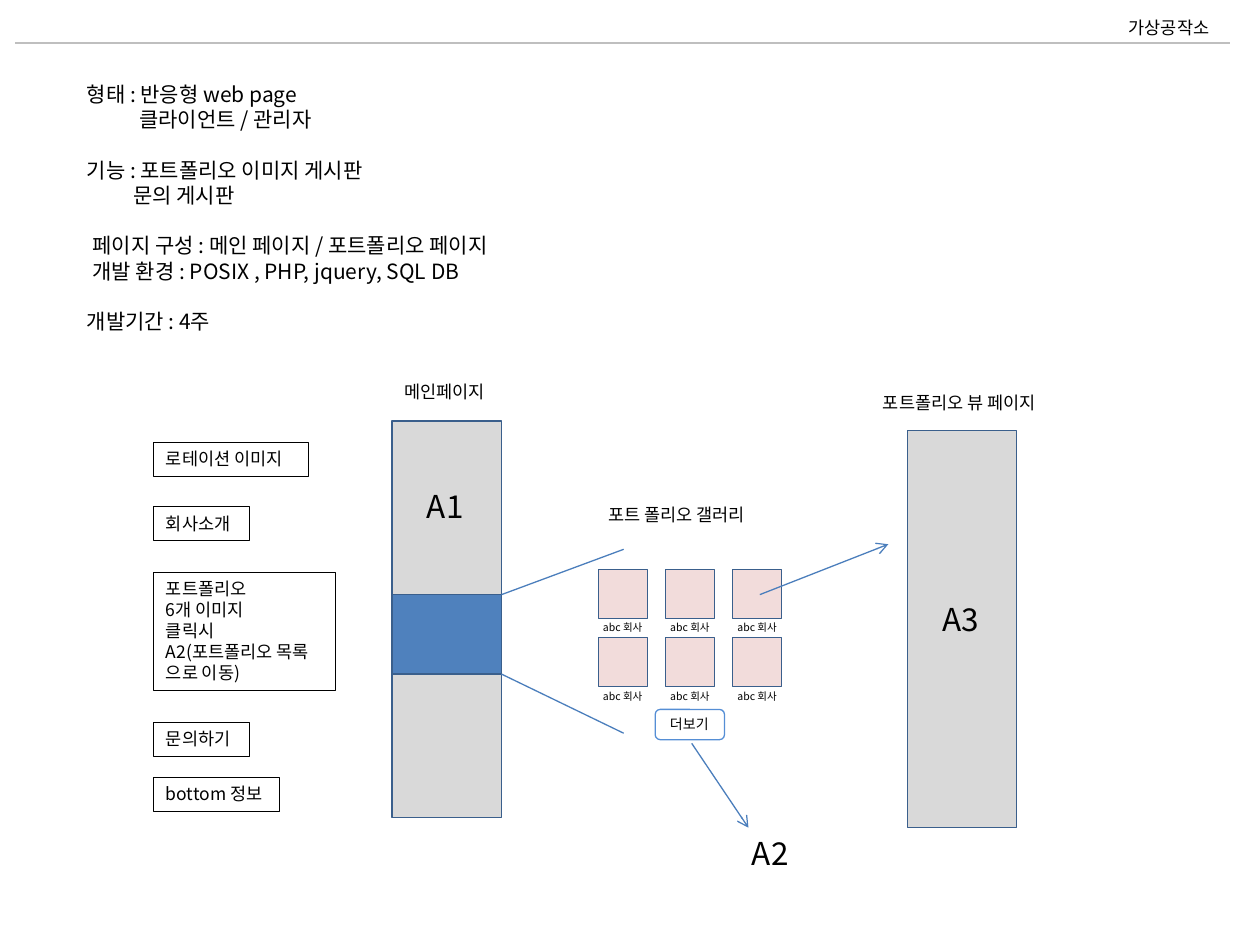
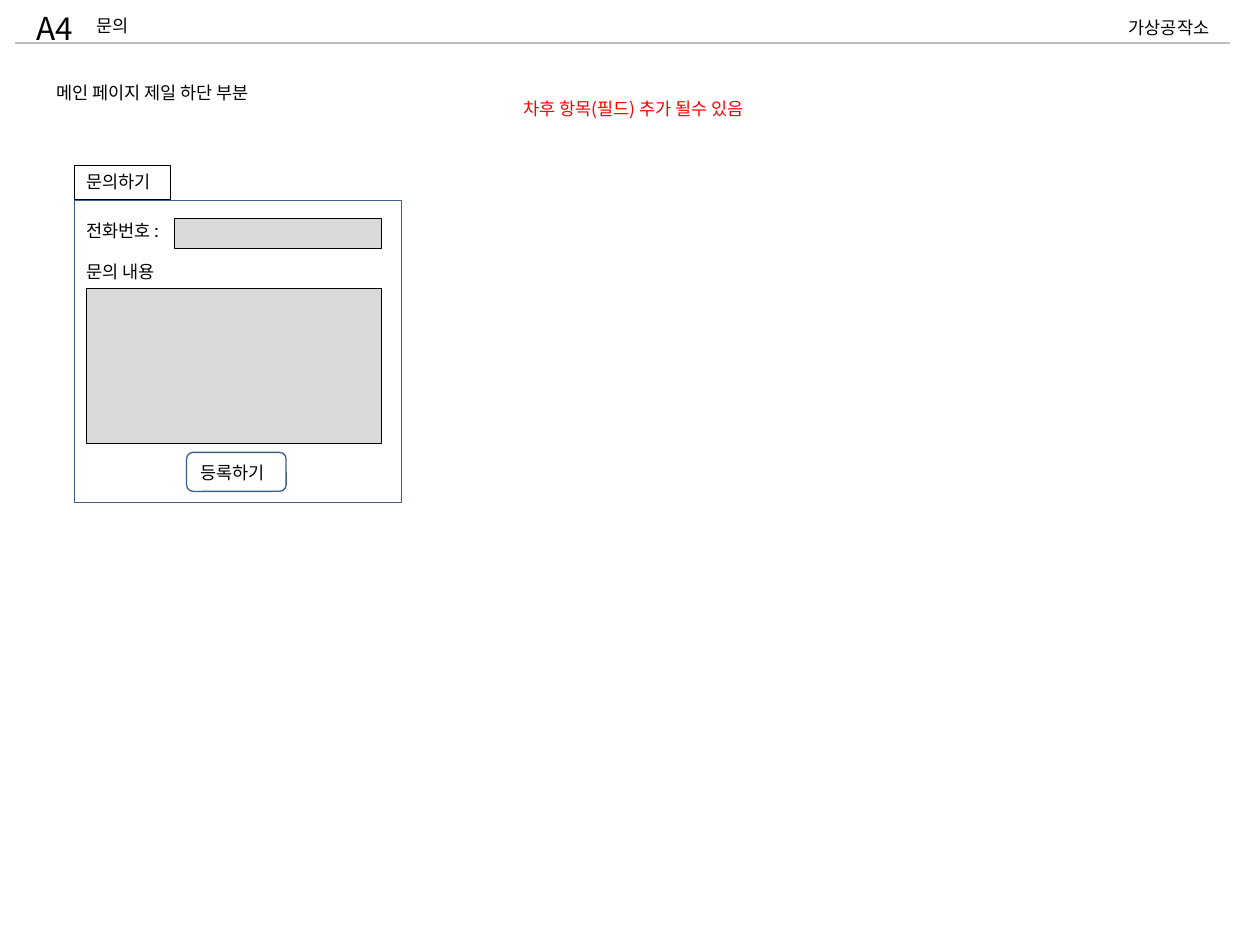
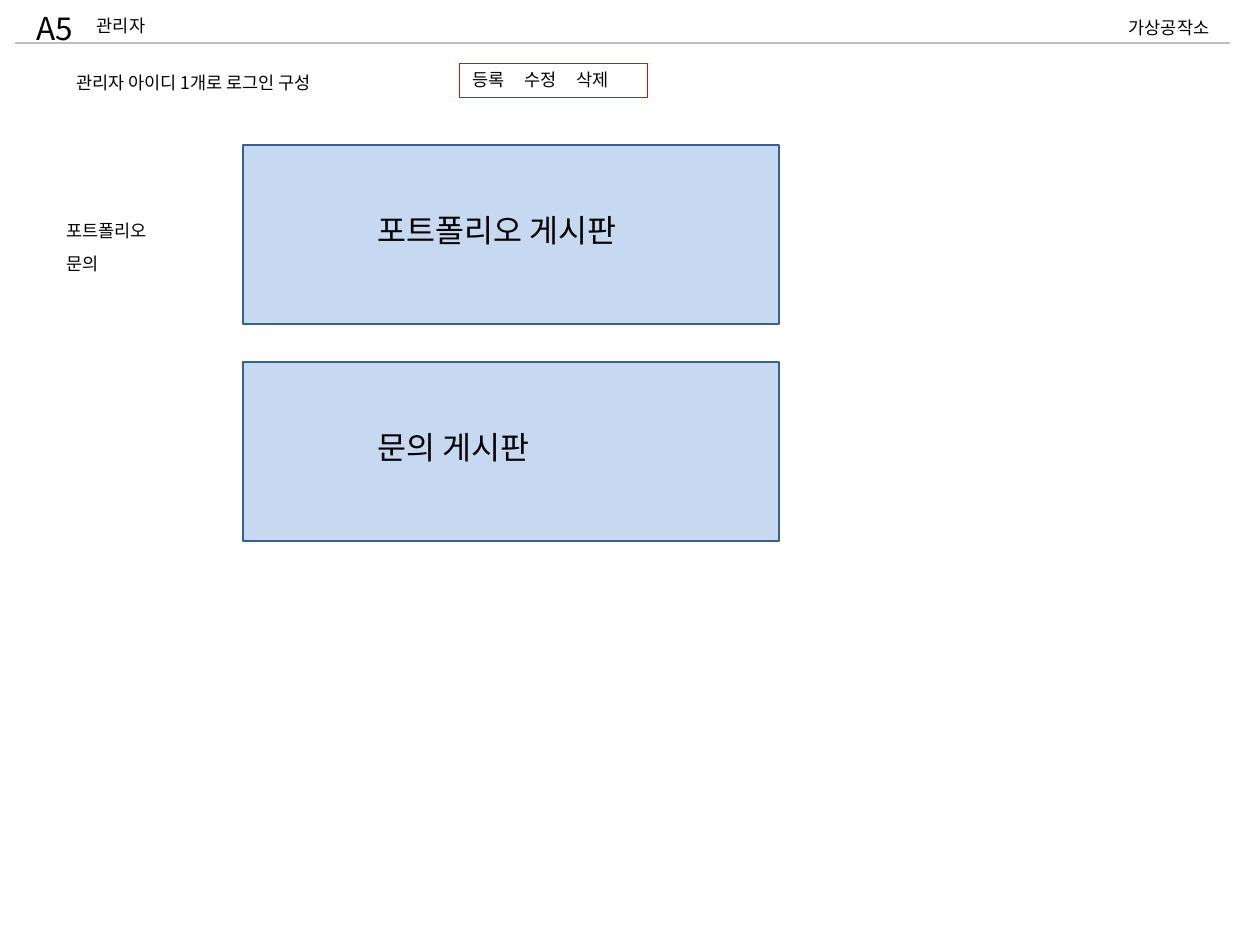
"""Build the three wireframe slides of a responsive portfolio site plan."""
from lxml import etree
from pptx import Presentation
from pptx.dml.color import RGBColor
from pptx.enum.shapes import MSO_CONNECTOR, MSO_SHAPE
from pptx.enum.text import MSO_ANCHOR, MSO_AUTO_SIZE, PP_ALIGN
from pptx.oxml.ns import qn
from pptx.util import Pt

RECT, ROUND = MSO_SHAPE.RECTANGLE, MSO_SHAPE.ROUNDED_RECTANGLE
STRAIGHT = MSO_CONNECTOR.STRAIGHT
LEFT, TOP = PP_ALIGN.LEFT, MSO_ANCHOR.TOP
GROW = MSO_AUTO_SIZE.SHAPE_TO_FIT_TEXT

BLACK = RGBColor(0x00, 0x00, 0x00)
WHITE = RGBColor(0xFF, 0xFF, 0xFF)
RED = RGBColor(0xFF, 0x00, 0x00)
GRAY = RGBColor(0xD9, 0xD9, 0xD9)
RULE_GRAY = RGBColor(0xBF, 0xBF, 0xBF)
NAVY = RGBColor(0x3A, 0x5F, 0x8C)
BLUE = RGBColor(0x4F, 0x81, 0xBD)
ARROW_BLUE = RGBColor(0x4B, 0x7E, 0xBC)
BUTTON_BLUE = RGBColor(0x55, 0x8E, 0xD5)
PALE_BLUE = RGBColor(0xC6, 0xD9, 0xF1)
PINK = RGBColor(0xF2, 0xDC, 0xDB)

FONT = "Noto Sans CJK KR"
LINE_RATIO = 1.2
LABEL_HEIGHT = 19.5
CODE_SIZE = (36.7, 28.8)
TITLE_ONLY, BLANK = 5, 6

STUDIO = "가상공작소"
# text, left indent, space before
SUMMARY = [
    ("형태 : 반응형 web page", 0, 0),
    ("클라이언트 / 관리자", 30, 0),
    ("기능 : 포트폴리오 이미지 게시판", 0, 14.4),
    ("문의 게시판", 26.5, 0),
    ("페이지 구성 : 메인 페이지 / 포트폴리오 페이지", 3.4, 14.4),
    ("개발 환경 : POSIX , PHP, jquery, SQL DB", 3.4, 0),
    ("개발기간 : 4주", 0, 14.4),
]
# lines, top, width, height
SECTION_NOTES = [
    (["로테이션 이미지"], 252.7, 88.6, LABEL_HEIGHT),
    (["회사소개"], 289.4, 54.7, LABEL_HEIGHT),
    (["포트폴리오", "6개 이미지", "클릭시", "A2(포트폴리오 목록", "으로 이동)"],
     326.9, 103.7, 67.7),
    (["문의하기"], 412.6, 54.7, LABEL_HEIGHT),
    (["bottom 정보"], 444.2, 72, LABEL_HEIGHT),
]
PAGE_LABELS = [
    ("메인페이지", 224, 214.5, 65),
    ("포트 폴리오 갤러리", 340.6, 284.4, 102),
    ("포트폴리오 뷰 페이지", 497.5, 220.3, 116),
]
PAGE_CODES = [("A1", 236.9, 275), ("A2", 422.6, 473), ("A3", 531.4, 339.1)]
PAGE_COLUMNS = [(224, 240.5), (518.4, 246.2)]
COLUMN_SIZE = (62.6, 226.8)
GALLERY_BAND = (224, 339.8, 62.6, 45.4)
CAPTION = "abc 회사"
# start, end, arrowhead
GALLERY_LINES = [
    ((286.6, 339.8), (356.4, 313.9), False),
    ((286.6, 385.2), (356.4, 419), False),
    ((434.2, 339.8), (507.6, 311), True),
    ((395.3, 424.8), (427.7, 473), True),
]
FORM_FIELDS = [(99.4, 124.6, 118.8, 17.3), (49.7, 164.9, 168.5, 88.6)]
FORM_LABELS = [("전화번호 :", 42.5, 122.4, 64), ("문의 내용", 42.5, 145.4, 69)]
BOARDS = ["포트폴리오 게시판", "문의 게시판"]
BOARD_TEXT_WIDTHS = [166.3, 111.6]
ADMIN_MENU = ["포트폴리오", "문의"]
ADMIN_ACTIONS = ["등록", "수정", "삭제"]
ACTION_STEP = 29.7


def points(*values):
    return [Pt(value) for value in values]


def outline(shape, color, width):
    shape.line.color.rgb = color
    shape.line.width = Pt(width)


def write(frame, lines, size, color=BLACK):
    frame.word_wrap = False
    frame.auto_size = GROW
    frame.vertical_anchor = TOP
    for number, (text, indent, gap) in enumerate(lines):
        para = frame.add_paragraph() if number else frame.paragraphs[0]
        para.alignment = LEFT
        para.line_spacing = Pt(size * LINE_RATIO)
        para.space_before = Pt(gap)
        if indent:
            para._p.get_or_add_pPr().set("marL", str(Pt(indent)))
        span = para.add_run()
        span.text = text
        span.font.size = Pt(size)
        span.font.name = FONT
        span.font.color.rgb = color
        east_asian = etree.SubElement(span._r.get_or_add_rPr(), qn("a:ea"))
        east_asian.set("typeface", FONT)


def add_text(page, text, left, top, width, height=LABEL_HEIGHT, size=10, color=BLACK,
             border=None, border_width=0.25):
    box = page.shapes.add_textbox(*points(left, top, width, height))
    lines = [(text, 0, 0)] if isinstance(text, str) else text
    write(box.text_frame, lines, size, color)
    if border is not None:
        outline(box, border, border_width)
    return box


def add_box(page, left, top, width, height, fill=None, border=NAVY, border_width=0.75,
            kind=RECT):
    box = page.shapes.add_shape(kind, *points(left, top, width, height))
    box.shadow.inherit = False
    if fill is None:
        box.fill.background()
    else:
        box.fill.solid()
        box.fill.fore_color.rgb = fill
    outline(box, border, border_width)


def add_line(page, start, end, color=ARROW_BLUE, arrow=False):
    line = page.shapes.add_connector(STRAIGHT, *points(*start, *end))
    outline(line, color, 0.75)
    if arrow:
        etree.SubElement(line.line._get_or_add_ln(), qn("a:tailEnd")).set("type", "arrow")
    etree.SubElement(line._element.spPr, qn("a:effectLst"))


def add_page(deck, code=None, title=None, title_width=0):
    page = deck.slides.add_slide(deck.slide_layouts[TITLE_ONLY if title else BLANK])
    add_text(page, STUDIO, 638, 6.5, 65)
    add_line(page, (8.6, 24.5), (702.7, 24.5), RULE_GRAY)
    if title:
        add_text(page, code, 13.7, 1.4, *CODE_SIZE, size=18)
        heading = page.shapes.title
        heading.left, heading.top, heading.width, heading.height = points(
            48.2, 5, title_width, LABEL_HEIGHT)
        write(heading.text_frame, [(title, 0, 0)], 10)
    return page


def build_overview(deck):
    page = add_page(deck)
    add_text(page, SUMMARY, 42.5, 43.2, 274.3, 167, size=12)
    for left, top in PAGE_COLUMNS:
        add_box(page, left, top, *COLUMN_SIZE, fill=GRAY)
    add_box(page, *GALLERY_BAND, fill=BLUE)
    for label in PAGE_LABELS:
        add_text(page, *label)
    for row in range(2):
        for column in range(3):
            add_box(page, 342 + 38.2 * column, 325.4 + 38.9 * row, 28.1, 28.1, fill=PINK)
    for row in range(2):
        for column in range(3):
            add_text(page, CAPTION, 337.5 + 38.4 * column, 351.4 + 39.6 * row,
                     38.9, 14.4, size=6)
    add_box(page, 374.4, 405.4, 39.6, 17.3, WHITE, BUTTON_BLUE, kind=ROUND)
    add_text(page, "더보기", 375.8, 405.4, 38.9, 17.3, size=8)
    for start, end, arrow in GALLERY_LINES:
        add_line(page, start, end, arrow=arrow)
    for code, left, top in PAGE_CODES:
        add_text(page, code, left, top, *CODE_SIZE, size=18)
    for lines, top, width, height in SECTION_NOTES:
        add_text(page, [(line, 0, 0) for line in lines], 87.8, top, width, height,
                 border=BLACK)


def build_inquiry(deck):
    page = add_page(deck, "A4", "문의", 34.6)
    add_text(page, "메인 페이지 제일 하단 부분", 25.2, 43.2, 139.7)
    add_text(page, "차후 항목(필드) 추가 될수 있음", 292.3, 52.6, 156.2, color=RED)
    add_box(page, 42.5, 114.5, 187.2, 172.8, border_width=0.5)
    add_text(page, "문의하기", 42.5, 94.3, 54.7, border=BLACK)
    for field in FORM_FIELDS:
        add_box(page, *field, fill=GRAY, border=BLACK, border_width=0.5)
    for label in FORM_LABELS:
        add_text(page, *label)
    add_box(page, 106.6, 258.5, 56.9, 22.3, WHITE, kind=ROUND)
    add_text(page, "등록하기", 107.3, 260.6, 54.7)


def build_admin(deck):
    page = add_page(deck, "A5", "관리자", 44.6)
    add_text(page, "관리자 아이디 1개로 로그인 구성", 36.7, 37.4, 165.6)
    for number, (board, width) in enumerate(zip(BOARDS, BOARD_TEXT_WIDTHS)):
        shift = 124 * number
        add_box(page, 139, 82.8 + shift, 306, 102.2, PALE_BLUE, border_width=1)
        add_text(page, board, 208.8, 117 + shift, width, 28.8, size=18)
    actions = add_text(page, "\t".join(ADMIN_ACTIONS), 262.8, 36, 107.3,
                       border=RED, border_width=0.5)
    properties = actions.text_frame.paragraphs[0]._p.get_or_add_pPr()
    stops = etree.SubElement(properties, qn("a:tabLst"))
    for number in range(1, len(ADMIN_ACTIONS)):
        stop = etree.SubElement(stops, qn("a:tab"))
        stop.set("pos", str(Pt(ACTION_STEP * number)))
        stop.set("algn", "l")
    for number, item in enumerate(ADMIN_MENU):
        add_text(page, item, 31, 122.4 + 18.7 * number, 64.8)


def main():
    deck = Presentation()
    deck.slide_width, deck.slide_height = points(720, 540)
    build_overview(deck)
    build_inquiry(deck)
    build_admin(deck)
    deck.save("out.pptx")


if __name__ == "__main__":
    main()
